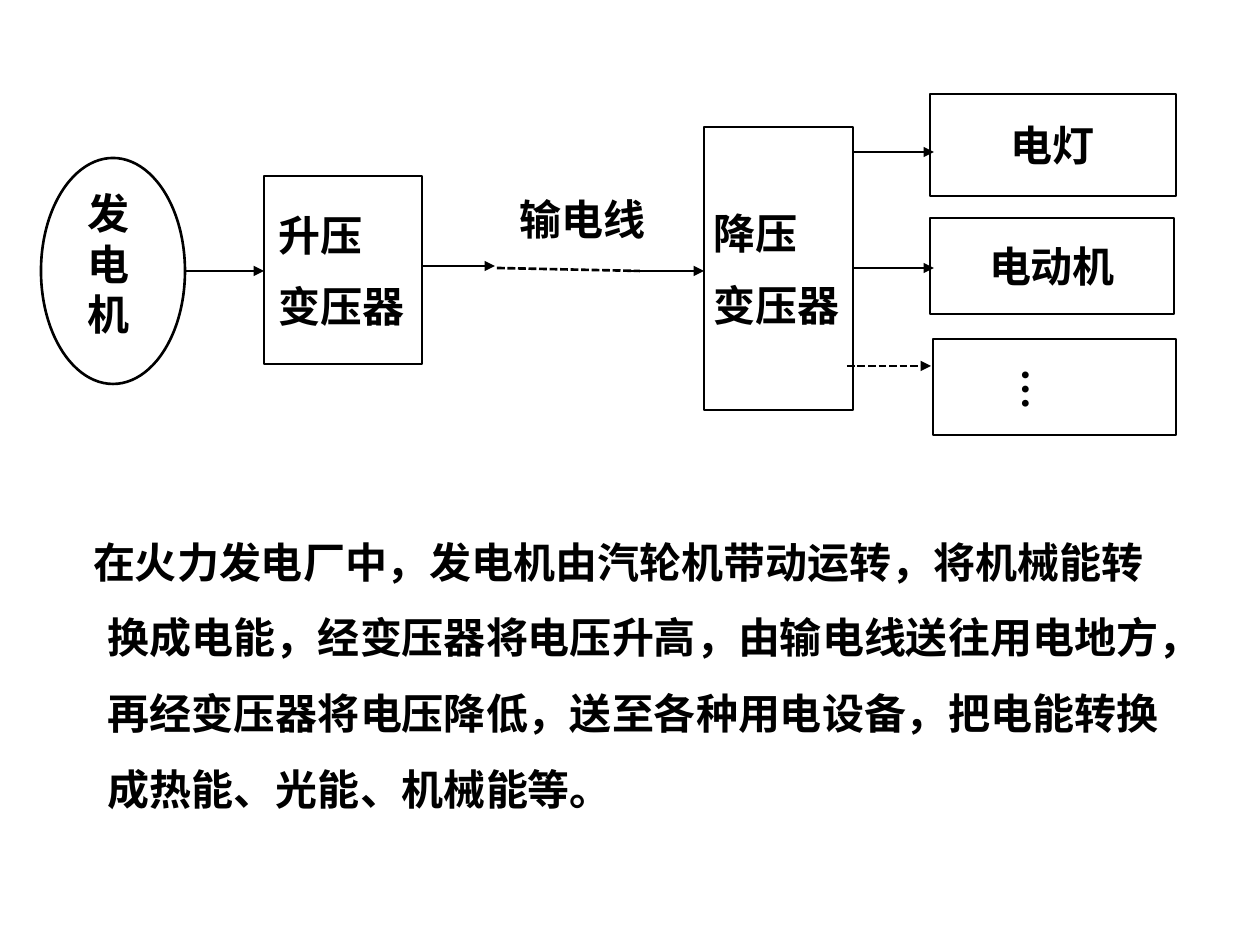
from lxml import etree
from pptx import Presentation
from pptx.dml.color import RGBColor
from pptx.enum.dml import MSO_LINE
from pptx.enum.shapes import MSO_CONNECTOR, MSO_SHAPE
from pptx.enum.text import MSO_ANCHOR, PP_ALIGN
from pptx.oxml.ns import qn
from pptx.util import Emu, Pt

PX = 914400 // 126
COLORS = {"ink": "000000", "paper": "FFFFFF"}
RECTANGLE, OVAL = MSO_SHAPE.RECTANGLE, MSO_SHAPE.OVAL
STRAIGHT = MSO_CONNECTOR.STRAIGHT
DOTTED = MSO_LINE.SQUARE_DOT
LEFT, CENTER = PP_ALIGN.LEFT, PP_ALIGN.CENTER
TOP, MIDDLE = MSO_ANCHOR.TOP, MSO_ANCHOR.MIDDLE
LATIN, CHINESE = "Times New Roman", "Noto Sans CJK SC"


def px(*lengths):
    return [Emu(length * PX) for length in lengths]


def color(name):
    return RGBColor.from_string(COLORS[name])


class PowerDiagram:
    """Holds the text and line style and the slide being drawn."""

    def __init__(self, slide):
        self.slide = slide
        self.size = Pt(24)
        self.line_width = Pt(1.5)

    def set_text(self, shape, text, align=LEFT, anchor=MIDDLE, margins=(10, 5, 10, 5), latin=LATIN):
        frame = shape.text_frame
        frame.text = text
        frame.word_wrap = True
        frame.vertical_anchor = anchor
        (frame.margin_left, frame.margin_top,
         frame.margin_right, frame.margin_bottom) = px(*margins)
        for index, paragraph in enumerate(frame.paragraphs):
            paragraph.alignment = align
            paragraph.space_before = Pt(12 if index else 0)
            for run in paragraph.runs:
                run.font.size = self.size
                run.font.bold = True
                run.font.name = latin
                run.font.color.rgb = color("ink")
                east_asian = etree.SubElement(run.font._element, qn("a:ea"))
                east_asian.set("typeface", CHINESE)

    def node(self, box, text="", kind=RECTANGLE, **style):
        shape = self.slide.shapes.add_shape(kind, *px(*box))
        shape.shadow.inherit = False
        shape.fill.solid()
        shape.fill.fore_color.rgb = color("paper")
        shape.line.color.rgb = color("ink")
        shape.line.width = self.line_width
        if text:
            self.set_text(shape, text, **style)
        return shape

    def label(self, box, text, **style):
        self.set_text(self.slide.shapes.add_textbox(*px(*box)), text, **style)

    def wire(self, start, end, dash=None, arrow=True):
        connector = self.slide.shapes.add_connector(STRAIGHT, *px(*start, *end))
        connector.line.color.rgb = color("ink")
        connector.line.width = self.line_width
        if dash:
            connector.line.dash_style = dash
        properties = connector._element.spPr
        if arrow:
            tail = etree.SubElement(properties.find(qn("a:ln")), qn("a:tailEnd"))
            tail.set("type", "triangle")
        etree.SubElement(properties, qn("a:effectLst"))

    def explanation(self, box, text):
        """Fill the subtitle placeholder with a hanging paragraph."""
        placeholder = self.slide.placeholders[1]
        (placeholder.left, placeholder.top,
         placeholder.width, placeholder.height) = px(*box)
        self.set_text(placeholder, text, anchor=TOP, margins=(13, 6, 13, 6), latin=CHINESE)
        paragraph = placeholder.text_frame.paragraphs[0]
        paragraph.line_spacing = 1.5
        properties = paragraph._element.get_or_add_pPr()
        properties.set("marL", str(25 * PX))
        properties.set("indent", str(-15 * PX))


def main():
    presentation = Presentation()
    presentation.slide_width, presentation.slide_height = px(1260, 945)
    slide = presentation.slides.add_slide(presentation.slide_layouts[0])
    title = slide.shapes.title._element
    title.getparent().remove(title)
    diagram = PowerDiagram(slide)

    diagram.explanation(
        (70, 505, 1104, 318),
        "在火力发电厂中，发电机由汽轮机带动运转，将机械能转换成电能，"
        "经变压器将电压升高，由输电线送往用电地方，再经变压器将电压降低，"
        "送至各种用电设备，把电能转换成热能、光能、机械能等。")

    diagram.node((41, 158, 144, 226), kind=OVAL)
    diagram.label((73, 184, 70, 159), "发电机", align=CENTER)
    diagram.node((264, 176, 158, 188), "升压\n变压器", margins=(15, 5, 5, 5))
    diagram.label((510, 188, 203, 57), "输电线", anchor=TOP)
    diagram.node((704, 127, 149, 283), "降压\n变压器")

    diagram.node((930, 94, 246, 102), "电灯", align=CENTER)
    diagram.node((930, 218, 244, 96), "电动机", align=CENTER)
    others = diagram.node((933, 339, 243, 96), "…", align=CENTER, margins=(10, 10, 40, 5))
    others.text_frame._txBody.bodyPr.set("vert", "vert")

    diagram.wire((185, 271), (264, 271))
    diagram.wire((422, 266), (495, 266))
    diagram.wire((497, 268), (640, 271), dash=DOTTED, arrow=False)
    diagram.wire((631, 271), (704, 271))
    diagram.wire((853, 152), (934, 152))
    diagram.wire((853, 268), (934, 268))
    diagram.wire((847, 366), (931, 366), dash=DOTTED)

    presentation.save("out.pptx")


if __name__ == "__main__":
    main()
